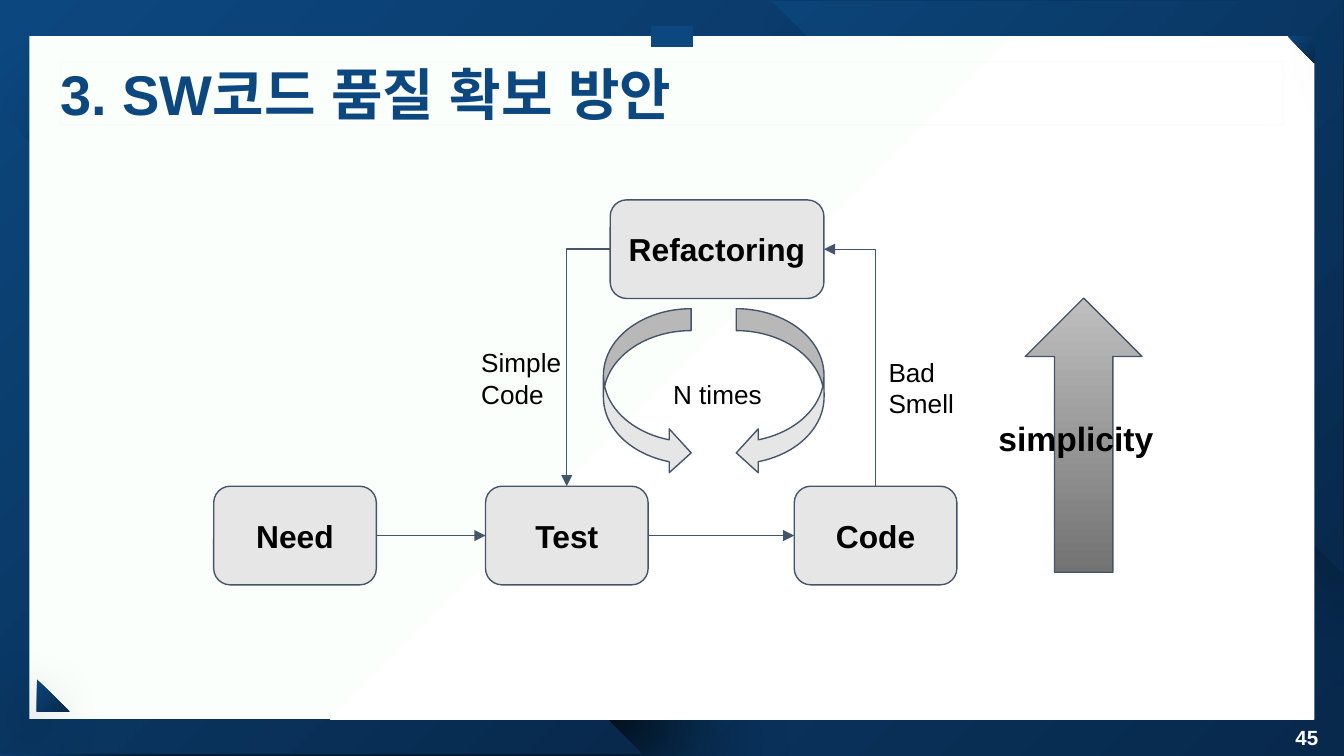
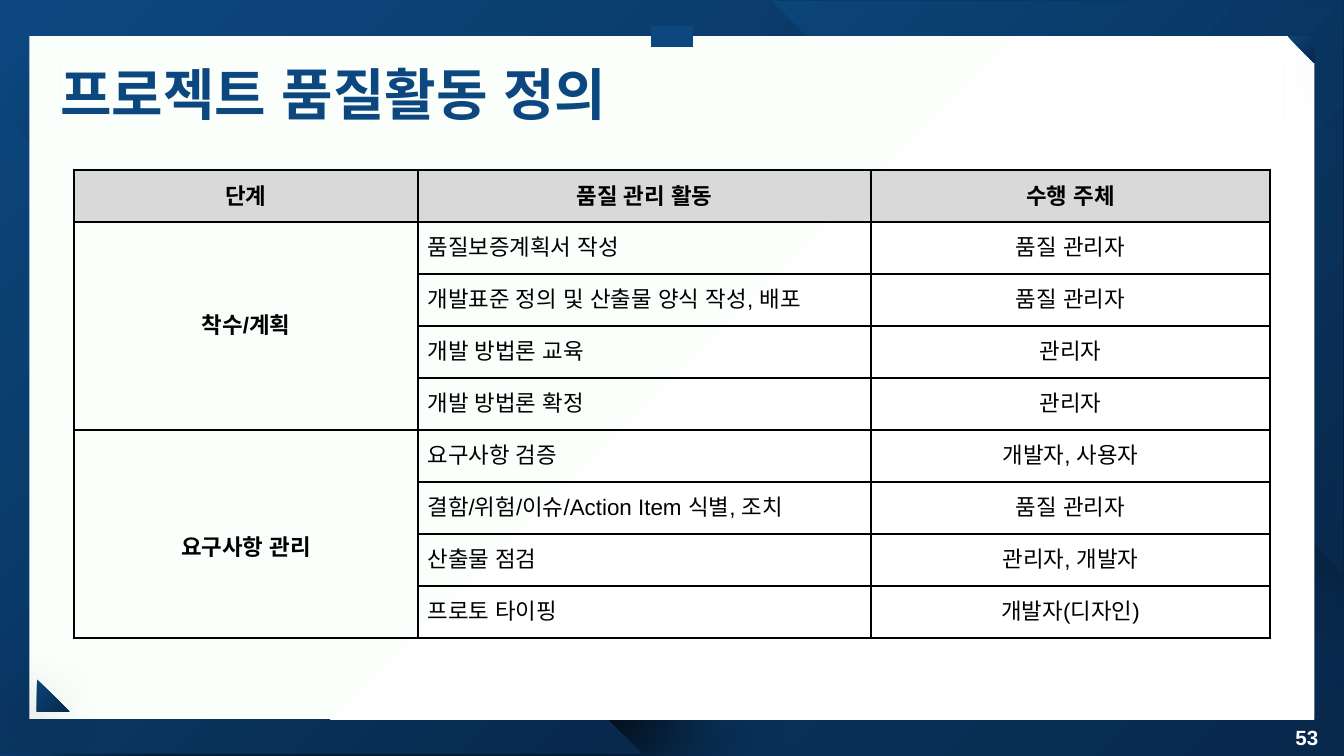
from lxml import etree
from pptx import Presentation
from pptx import util as u
from pptx.dml.color import RGBColor
from pptx.enum import shapes, text
from pptx.oxml.ns import qn

Pt = u.Pt
SHAPE = shapes.MSO_SHAPE
ALIGN = text.PP_ALIGN
ANCHOR = text.MSO_ANCHOR
FONT = "Arial"
COLORS = {
    "navy": "08294C", "blue": "0C477F", "fold": "0B4479",
    "white": "FFFFFF", "mint": "FBFFFB", "frame": "D8D8D8",
    "node": "E7E6E6", "slate": "44546A", "black": "000000",
    "rise_top": "BFBFBF", "rise_bottom": "737373", "header": "D9D9D9",
}
SLIDE_BOX = (0, 0, 720, 405)
TITLE_BOX = (32.4, 33.1, 655.2, 33.8)
PAGE_BOX = (672.5, 388.8, 33.8, 12.2)
FLOW_BOX = (114.5, 107.1, 518.4, 206.2)
TABLE_BOX = (39.6, 91.2, 640.8, 250.56)


def rgb(name):
    return RGBColor.from_string(COLORS[name])


def within(box, x, y, width, height):
    """Shift a part's place into the box that holds it."""
    return box[0] + x, box[1] + y, width, height


# Fills, lines and effects
def gradient(fill, owner, first, last, angle=None):
    """Linear at the given angle, or else radial from the lower right corner."""
    fill.gradient()
    for stop, name in zip(fill.gradient_stops, (first, last)):
        stop.color.rgb = rgb(name)
    if angle is not None:
        fill.gradient_angle = angle
        return
    grad = next(owner.iter(qn("a:gradFill")))
    grad.remove(grad.find(qn("a:lin")))
    path = etree.SubElement(grad, qn("a:path"), {"path": "circle"})
    etree.SubElement(path, qn("a:fillToRect"), l="100000", t="100000")


def cast_shadow(shape, alpha, blur, distance, direction):
    effects = shape._element.spPr.find(qn("a:effectLst"))
    shadow = etree.SubElement(
        effects, qn("a:outerShdw"), blurRad=str(Pt(blur)), dist=str(Pt(distance)),
        dir=str(direction * 60000), algn="tl", rotWithShape="0")
    color = etree.SubElement(shadow, qn("a:srgbClr"), val=COLORS["black"])
    etree.SubElement(color, qn("a:alpha"), val=str(alpha * 1000))


def add_part(slide, kind, box, fill=None, line=None):
    part = slide.shapes.add_shape(kind, *map(Pt, box))
    part.shadow.inherit = False
    if fill:
        part.fill.solid()
        part.fill.fore_color.rgb = rgb(fill)
    else:
        part.fill.background()
    if line:
        part.line.color.rgb = rgb(line)
        part.line.width = Pt(0.75)
    else:
        part.line.fill.background()
    return part


def style_line(connector, color, width, arrow=False):
    connector.line.color.rgb = rgb(color)
    connector.line.width = Pt(width)
    if arrow:
        etree.SubElement(connector.line._get_or_add_ln(), qn("a:tailEnd"), type="triangle")
    etree.SubElement(connector._element.spPr, qn("a:effectLst"))


# Text
def write(frame, lines, size, color="black", bold=False, align=ALIGN.LEFT):
    for index, line in enumerate(lines.split("\n")):
        paragraph = frame.paragraphs[0] if index == 0 else frame.add_paragraph()
        paragraph.text = line
        paragraph.alignment = align
        font = paragraph.font
        font.size, font.bold, font.name = Pt(size), bold, FONT
        font.color.rgb = rgb(color)
        etree.SubElement(font._rPr, qn("a:ea"), typeface=FONT)


def set_frame(frame, inset, anchor):
    frame.word_wrap = True
    frame.vertical_anchor = anchor
    frame.margin_left = frame.margin_right = Pt(inset)
    frame.margin_top = frame.margin_bottom = Pt(inset)


def add_label(slide, box, lines, size, inset=7.2, anchor=ANCHOR.TOP, **style):
    label = slide.shapes.add_textbox(*map(Pt, box))
    set_frame(label.text_frame, inset, anchor)
    write(label.text_frame, lines, size, **style)


# Shared backdrop
def add_corner(slide, box, shadow, rotation=0):
    corner = add_part(slide, SHAPE.ISOSCELES_TRIANGLE, box)
    corner.adjustments[0] = 0
    corner.rotation = rotation
    gradient(corner.fill, corner._element, "navy", "fold")
    cast_shadow(corner, *shadow)


def draw_backdrop(slide, box):
    gradient(slide.background.fill, slide._element, "navy", "blue")
    add_corner(slide, within(box, 0, 60, 343.5, 343.5), (100, 53, 40, 0))
    add_corner(slide, within(box, 413.3, 0.5, 306, 306), (39, 53, 41, 45), 180)

    paper = add_part(slide, SHAPE.ROUNDED_RECTANGLE, within(box, 15.8, 19.4, 688.4, 365.8))
    paper.adjustments[0] = 0
    gradient(paper.fill, paper._element, "white", "mint")

    x, y = box[0] + 348.5, box[1] + 19.4
    clip = slide.shapes.add_connector(
        shapes.MSO_CONNECTOR.STRAIGHT, Pt(x), Pt(y), Pt(x + 23), Pt(y))
    style_line(clip, "blue", 11.25)

    add_corner(slide, within(box, 689.8, 19.4, 14.4, 14.4), (100, 53, 40, 0), 180)
    add_corner(slide, within(box, 19.8, 364, 17.3, 17.3), (56, 35, 14, 135))


def draw_title(slide, box, title):
    banner = add_part(slide, SHAPE.RECTANGLE, box, line="frame")
    color = next(banner.line._get_or_add_ln().iter(qn("a:srgbClr")))
    etree.SubElement(color, qn("a:alpha"), val="5000")
    set_frame(banner.text_frame, 0, ANCHOR.MIDDLE)
    write(banner.text_frame, title, 30, "blue", True)


def start_slide(deck, title, page):
    slide = deck.slides.add_slide(deck.slide_layouts[6])
    draw_backdrop(slide, SLIDE_BOX)
    draw_title(slide, TITLE_BOX, title)
    add_label(slide, PAGE_BOX, page, 11, inset=0, anchor=ANCHOR.MIDDLE,
              color="white", bold=True, align=ALIGN.RIGHT)
    return slide


# Refactoring cycle
TOP, LEFT, RIGHT = 0, 1, 3  # connection sites of a step


def link(slide, start, start_site, end, end_site):
    """Straight between sides; one bend where a side meets a top."""
    bent = TOP in (start_site, end_site)
    kind = shapes.MSO_CONNECTOR.ELBOW if bent else shapes.MSO_CONNECTOR.STRAIGHT
    arrow = slide.shapes.add_connector(kind, 0, 0, 0, 0)
    arrow.begin_connect(start, start_site)
    arrow.end_connect(end, end_site)
    style_line(arrow, "slate", 0.75, arrow=True)
    if bent:
        arrow._element.spPr.find(qn("a:prstGeom")).set("prst", "bentConnector2")
    if start_site == TOP:  # leaves upwards, so the frame is turned a quarter
        width, height = arrow.width, arrow.height
        arrow.left += (width - height) // 2
        arrow.top += (height - width) // 2
        arrow.width, arrow.height = height, width
        frame = arrow._element.spPr.find(qn("a:xfrm"))
        frame.set("rot", "5400000")
        frame.set("flipV", "0")


def draw_flow(slide, box):
    # Steps
    steps = {}
    for name, x, y, width in (("Need", 0, 153.4, 87.1), ("Refactoring", 212.4, 0, 114.5),
                              ("Test", 145.6, 153.4, 87.1), ("Code", 311, 153.4, 87.1)):
        step = add_part(slide, SHAPE.ROUNDED_RECTANGLE,
                        within(box, x, y, width, 52.8), "node", "slate")
        set_frame(step.text_frame, 7.2, ANCHOR.MIDDLE)
        write(step.text_frame, name, 17, bold=True, align=ALIGN.CENTER)
        steps[name] = step

    # Arrows between the steps
    link(slide, steps["Need"], RIGHT, steps["Test"], LEFT)
    link(slide, steps["Test"], RIGHT, steps["Code"], LEFT)
    link(slide, steps["Refactoring"], LEFT, steps["Test"], TOP)
    link(slide, steps["Code"], TOP, steps["Refactoring"], RIGHT)

    # Pair of turning arrows
    for x, mirrored in ((208.8, False), (280, True)):
        turn = add_part(slide, SHAPE.CURVED_RIGHT_ARROW,
                        within(box, x, 58.3, 47, 89), "node", "slate")
        if mirrored:
            turn._element.spPr.find(qn("a:xfrm")).set("flipH", "1")

    # Rising simplicity
    rise = add_part(slide, SHAPE.UP_ARROW, within(box, 434.8, 52.6, 62.6, 146.9), line="slate")
    gradient(rise.fill, rise._element, "rise_top", "rise_bottom", angle=270)
    add_label(slide, within(box, 413.3, 109.4, 105.1, 34), "simplicity", 18, bold=True)

    # Captions
    for caption, x, y, width, height in (("N times", 239, 88.6, 63, 29.5),
                                         ("Simple Code", 136.2, 71.4, 59, 37.4),
                                         ("Bad\nSmell", 354.4, 76.4, 59, 37.4)):
        add_label(slide, within(box, x, y, width, height), caption, 14)


# Quality activities
HEADINGS = ("단계", "품질 관리 활동", "수행 주체")
COLUMN_WIDTHS = (184.4, 242.6, 213.8)
PHASES = (
    ("착수/계획", 5, (
        ("품질보증계획서 작성", "품질 관리자"),
        ("개발표준 정의 및 산출물 양식 작성, 배포", "품질 관리자"),
        ("개발 방법론 교육", "관리자"),
        ("개발 방법론 확정", "관리자"))),
    ("요구사항 관리", 20, (
        ("요구사항 검증", "개발자, 사용자"),
        ("결함/위험/이슈/Action Item 식별, 조치", "품질 관리자"),
        ("산출물 점검", "관리자, 개발자"),
        ("프로토 타이핑", "개발자(디자인)"))),
)


def format_cell(cell, fill=None):
    cell.vertical_anchor = ANCHOR.MIDDLE
    cell.margin_left = cell.margin_right = cell.margin_top = cell.margin_bottom = Pt(5)
    properties = cell._tc.get_or_add_tcPr()
    for side in ("a:lnL", "a:lnR", "a:lnT", "a:lnB"):
        border = etree.SubElement(properties, qn(side), w=str(Pt(1)))
        paint = etree.SubElement(border, qn("a:solidFill"))
        etree.SubElement(paint, qn("a:srgbClr"), val=COLORS["black"])
    if fill:
        cell.fill.solid()
        cell.fill.fore_color.rgb = rgb(fill)
    else:
        cell.fill.background()


def draw_activities(slide, box):
    row_count = 1 + sum(len(activities) for _, _, activities in PHASES)
    grid = slide.shapes.add_table(row_count, len(HEADINGS), *map(Pt, box)).table
    grid.first_row = grid.horz_banding = False
    for column, width in zip(grid.columns, COLUMN_WIDTHS):
        column.width = Pt(width)
    for index, row in enumerate(grid.rows):
        row.height = Pt(box[3] / row_count)
        for cell in row.cells:
            format_cell(cell, "header" if index == 0 else None)

    for column, heading in enumerate(HEADINGS):
        write(grid.cell(0, column).text_frame, heading, 12, bold=True, align=ALIGN.CENTER)

    top = 1
    for phase, margin_top, activities in PHASES:
        phase_cell = grid.cell(top, 0)
        phase_cell.merge(grid.cell(top + len(activities) - 1, 0))
        phase_cell.margin_top = Pt(margin_top)
        write(phase_cell.text_frame, phase, 12, bold=True, align=ALIGN.CENTER)
        for row, (activity, owner) in enumerate(activities, top):
            write(grid.cell(row, 1).text_frame, activity, 12)
            write(grid.cell(row, 2).text_frame, owner, 12, align=ALIGN.CENTER)
        top += len(activities)


def main():
    deck = Presentation()
    deck.slide_width, deck.slide_height = Pt(SLIDE_BOX[2]), Pt(SLIDE_BOX[3])
    draw_flow(start_slide(deck, "3. SW코드 품질 확보 방안", "45"), FLOW_BOX)
    draw_activities(start_slide(deck, "프로젝트 품질활동 정의", "53"), TABLE_BOX)
    deck.save("out.pptx")


if __name__ == "__main__":
    main()
